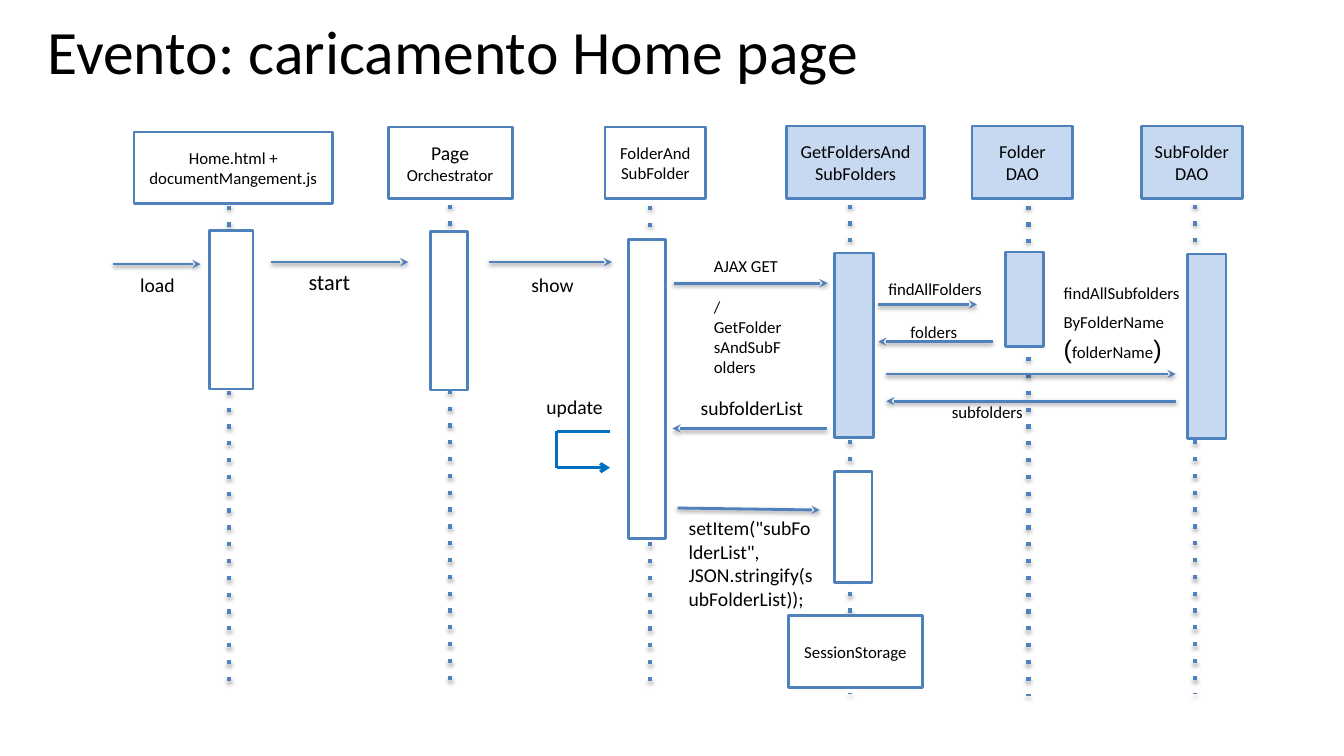
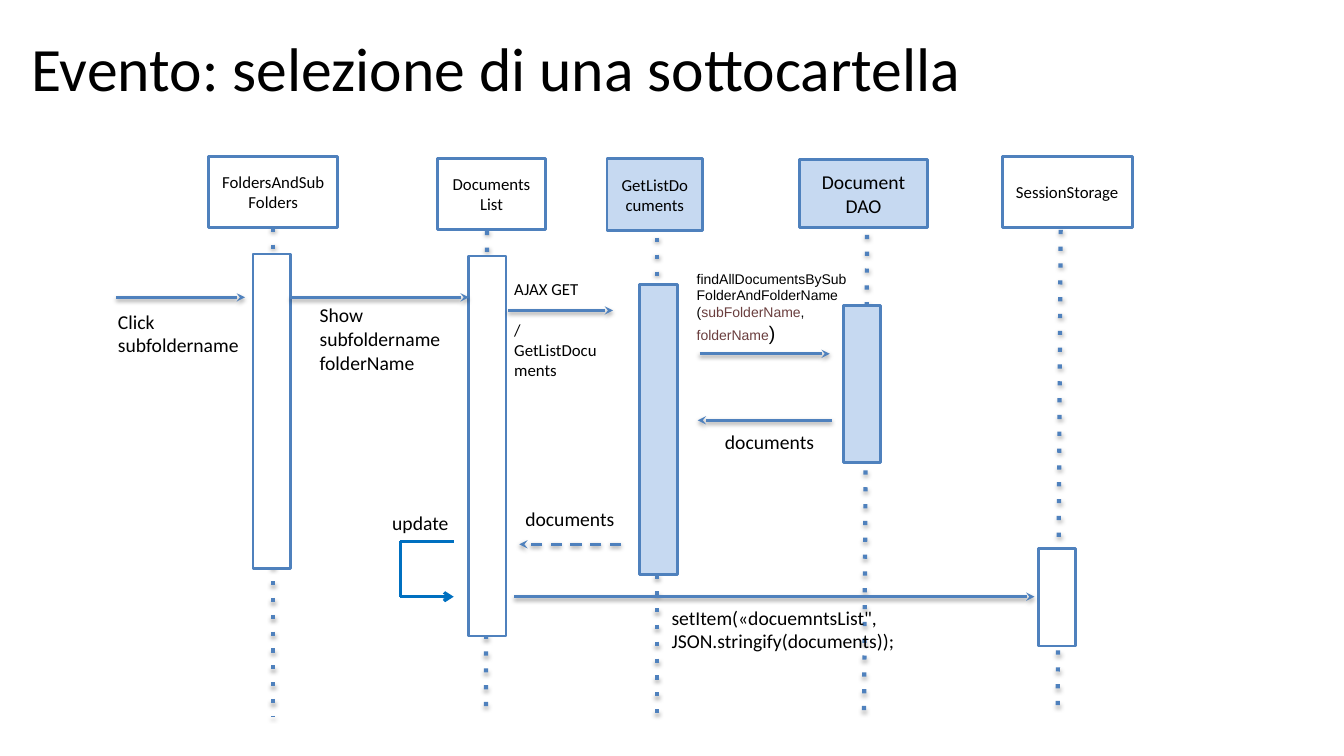
from dataclasses import dataclass
from typing import NamedTuple, Optional

from lxml.etree import SubElement
from pptx import Presentation
from pptx.dml.color import RGBColor
from pptx.enum.shapes import MSO_CONNECTOR, MSO_SHAPE
from pptx.enum.text import MSO_ANCHOR, PP_ALIGN
from pptx.oxml.ns import qn
from pptx.util import Inches, Pt

WHITE, BLACK = "FFFFFF", "000000"
CLIENT, SERVER = WHITE, "C6D9F1"
OUTLINE, LOOP, ARGUMENT = "4F81BD", "0070C0", "6A3E3E"
PAD_X, PAD_Y = 0.12, 0.06
LOOP_WIDTH = 0.53


class Box(NamedTuple):
    x: float
    y: float
    w: float
    h: float


class Segment(NamedTuple):
    x1: float
    y1: float
    x2: float
    y2: float


class Shadow(NamedTuple):
    opacity: int
    distance: float


class Run(NamedTuple):
    text: str
    size: float
    font: str = "Calibri"
    color: str = BLACK


Paragraphs = list[list[Run]]
LIFELINE_SHADOW, ARROW_SHADOW = Shadow(35, 1.8), Shadow(38, 1.6)


@dataclass
class Participant:
    name: str
    size: int
    fill: str
    head: Box
    bar: Box
    lifeline: Optional[Segment] = None
    joined: bool = False


@dataclass
class Arrow:
    route: Segment
    dash: str = ""


@dataclass
class Label:
    box: Box
    text: Paragraphs
    gap: float = 0


@dataclass
class Diagram:
    title: str
    title_box: Box
    participants: list[Participant]
    arrows: list[Arrow]
    labels: list[Label]
    loop: Box


def rgb(value: str) -> RGBColor:
    return RGBColor.from_string(value)


def plain(text: str, size: float) -> Paragraphs:
    """One single-run paragraph for each line of the text."""
    return [[Run(line, size)] for line in text.split("\n")]


def inches(values: tuple) -> list[int]:
    return [Inches(v) for v in values]


def write(s, text: Paragraphs, align=PP_ALIGN.LEFT, anchor=MSO_ANCHOR.TOP, gap: float = 0) -> None:
    tf = s.text_frame
    tf.word_wrap = True
    tf.vertical_anchor = anchor
    tf.margin_left = tf.margin_right = Inches(PAD_X)
    tf.margin_top = tf.margin_bottom = Inches(PAD_Y)
    for i, runs in enumerate(text):
        p = tf.add_paragraph() if i else tf.paragraphs[0]
        p.alignment = align
        if i and gap:
            p.space_before = Pt(gap)
        for run in runs:
            r = p.add_run()
            r.text = run.text
            r.font.size = Pt(run.size)
            r.font.name = run.font
            r.font.color.rgb = rgb(run.color)


def add_text(slide, box: Box, text: Paragraphs, anchor=MSO_ANCHOR.TOP, gap: float = 0) -> None:
    write(slide.shapes.add_textbox(*inches(box)), text, anchor=anchor, gap=gap)


def add_rect(slide, box: Box, fill: str):
    s = slide.shapes.add_shape(MSO_SHAPE.RECTANGLE, *inches(box))
    s.shadow.inherit = False
    s.fill.solid()
    s.fill.fore_color.rgb = rgb(fill)
    s.line.color.rgb = rgb(OUTLINE)
    s.line.width = Pt(2)
    return s


def add_line(slide, route: Segment, color: str = OUTLINE, width: float = 2, dash: str = "",
             tip: str = "", shadow: Optional[Shadow] = None):
    s = slide.shapes.add_connector(MSO_CONNECTOR.STRAIGHT, *inches(route))
    s.line.color.rgb = rgb(color)
    s.line.width = Pt(width)
    props = s._element.spPr
    ln = props.find(qn("a:ln"))
    if dash:
        SubElement(ln, qn("a:prstDash"), val=dash)
    if tip:
        SubElement(ln, qn("a:tailEnd"), type=tip)
    effects = SubElement(props, qn("a:effectLst"))
    if shadow:
        outer = SubElement(effects, qn("a:outerShdw"), blurRad=str(Pt(3.1)),
                           dist=str(Pt(shadow.distance)), dir="5400000", rotWithShape="0")
        tint = SubElement(outer, qn("a:srgbClr"), val=BLACK)
        SubElement(tint, qn("a:alpha"), val=str(shadow.opacity * 1000))
    return s


def add_participants(slide, participants: list[Participant]) -> None:
    """Lifelines lie behind every head and activation bar."""
    lifelines = [add_line(slide, p.lifeline, width=3, dash="dot", shadow=LIFELINE_SHADOW)
                 if p.lifeline else None for p in participants]
    for part, lifeline in zip(participants, lifelines):
        head = add_rect(slide, part.head, part.fill)
        write(head, plain(part.name, part.size), PP_ALIGN.CENTER, MSO_ANCHOR.MIDDLE)
        if lifeline is not None and part.joined:
            lifeline.begin_connect(head, 2)
        add_rect(slide, part.bar, part.fill)


def add_loop(slide, loop: Box) -> None:
    """A self-call: out to the left, down, and back with an arrowhead."""
    x, y, w, h = loop
    corners = [(x + w, y), (x, y), (x, y + h), (x + w, y + h)]
    for start, end, tip in zip(corners, corners[1:], ("", "", "arrow")):
        add_line(slide, Segment(*start, *end), LOOP, 2.25, tip=tip)


def add_diagram(prs, d: Diagram) -> None:
    slide = prs.slides.add_slide(prs.slide_layouts[6])
    add_text(slide, d.title_box, plain(d.title, 44), MSO_ANCHOR.MIDDLE)
    add_participants(slide, d.participants)
    for arrow in d.arrows:
        add_line(slide, arrow.route, dash=arrow.dash, tip="stealth", shadow=ARROW_SHADOW)
    add_loop(slide, d.loop)
    for label in d.labels:
        add_text(slide, label.box, label.text, gap=label.gap)


HOME_PAGE = Diagram(
    "Evento: caricamento Home page",
    Box(0.35, -0.13, 9.75, 1.25),
    [
        Participant("Home.html + documentMangement.js", 12, CLIENT, Box(1.33, 1.31, 1.97, 0.71),
                    Box(2.08, 2.29, 0.43, 1.57), Segment(2.27, 2.04, 2.27, 6.88)),
        Participant("", 12, CLIENT, Box(3.85, 1.26, 1.23, 0.71),
                    Box(4.27, 2.3, 0.37, 1.57), Segment(4.46, 2.03, 4.46, 6.87)),
        Participant("FolderAndSubFolder", 12, CLIENT, Box(6, 1.26, 1, 0.71),
                    Box(6.23, 2.38, 0.37, 2.96), Segment(6.45, 1.54, 6.45, 6.87)),
        Participant("GetFoldersAndSubFolders", 13, SERVER, Box(7.8, 1.25, 1.37, 0.72),
                    Box(8.28, 2.51, 0.38, 1.83), Segment(8.43, 2.03, 8.43, 6.88)),
        Participant("Folder\nDAO", 13, SERVER, Box(9.64, 1.25, 1, 0.72),
                    Box(9.97, 2.5, 0.38, 0.94), Segment(10.2, 2.04, 10.2, 6.9)),
        Participant("SubFolder\nDAO", 13, SERVER, Box(11.32, 1.25, 1, 0.72),
                    Box(11.78, 2.52, 0.38, 1.83), Segment(11.85, 2.03, 11.85, 6.88)),
        Participant("SessionStorage", 12, CLIENT, Box(7.82, 6.11, 1.33, 0.71),
                    Box(8.28, 4.68, 0.37, 1.1)),
    ],
    [
        Arrow(Segment(1.12, 2.62, 1.99, 2.62)),
        Arrow(Segment(2.69, 2.6, 4.05, 2.6)),
        Arrow(Segment(4.85, 2.6, 6.07, 2.6)),
        Arrow(Segment(6.68, 2.81, 8.21, 2.81)),
        Arrow(Segment(8.71, 3.02, 9.69, 3.02)),
        Arrow(Segment(9.85, 3.39, 8.71, 3.39)),
        Arrow(Segment(8.79, 3.71, 11.66, 3.71)),
        Arrow(Segment(11.66, 3.98, 8.79, 3.98)),
        Arrow(Segment(8.2, 4.25, 6.67, 4.25)),
        Arrow(Segment(6.72, 5.04, 8.13, 5.06)),
    ],
    [
        Label(Box(1.27, 2.65, 0.69, 0.49), plain("load", 14)),
        Label(Box(2.94, 2.6, 0.86, 0.49), plain("start", 16)),
        Label(Box(5.15, 2.65, 0.86, 0.49), plain("show", 14)),
        Label(Box(6.96, 2.48, 0.92, 1.05), plain("AJAX GET\n/GetFoldersAndSubFolders", 12), 14.6),
        Label(Box(8.69, 2.71, 1.3, 0.32), plain("findAllFolders", 12)),
        Label(Box(8.91, 3.13, 0.8, 0.32), plain("folders", 12)),
        Label(Box(10.43, 2.75, 1.44, 0.93), [[
            Run("findAllSubfoldersByFolderName", 12), Run(" (", 18, "Arial"),
            Run("folderName", 12), Run(")", 18, "Arial")]]),
        Label(Box(9.32, 3.93, 1.05, 0.32), plain("subfolders", 12)),
        Label(Box(6.83, 3.87, 1.33, 0.39), plain("subfolderList", 14)),
        Label(Box(5.3, 3.86, 0.84, 0.34), plain("update", 14)),
        Label(Box(6.71, 5.06, 1.48, 1.06),
              plain('setItem("subFolderList", JSON.stringify(subFolderList));', 14)),
    ],
    Box(5.52, 4.28, LOOP_WIDTH, 0.36),
)

SUBFOLDER = Diagram(
    "Evento: selezione di una sottocartella",
    Box(0.19, 0.04, 9.75, 1.25),
    [
        Participant("FoldersAndSubFolders", 12, CLIENT, Box(2.07, 1.55, 1.28, 0.71),
                    Box(2.51, 2.52, 0.37, 3.12), Segment(2.71, 2.26, 2.71, 7.11), joined=True),
        Participant("DocumentsList", 12, CLIENT, Box(4.34, 1.57, 1.07, 0.71),
                    Box(4.65, 2.54, 0.37, 3.77), Segment(4.83, 2.29, 4.82, 7.11)),
        Participant("GetListDocuments", 12, SERVER, Box(6.02, 1.57, 0.95, 0.72),
                    Box(6.34, 2.82, 0.38, 2.88), Segment(6.52, 2.36, 6.52, 7.11)),
        Participant("Document\nDAO", 14, SERVER, Box(7.93, 1.58, 1.27, 0.68),
                    Box(8.37, 3.03, 0.36, 1.56), Segment(8.6, 2.33, 8.57, 7.08)),
        Participant("SessionStorage", 12, CLIENT, Box(9.94, 1.55, 1.29, 0.71),
                    Box(10.3, 5.44, 0.37, 0.97), Segment(10.52, 2.28, 10.49, 7.03)),
    ],
    [
        Arrow(Segment(1.15, 2.95, 2.43, 2.95)),
        Arrow(Segment(2.88, 2.95, 4.65, 2.95)),
        Arrow(Segment(5.04, 3.08, 6.08, 3.08)),
        Arrow(Segment(6.94, 3.51, 8.23, 3.51)),
        Arrow(Segment(8.25, 4.17, 6.92, 4.17)),
        Arrow(Segment(6.16, 5.4, 5.15, 5.4), "dash"),
        Arrow(Segment(5.1, 5.92, 10.26, 5.92)),
    ],
    [
        Label(Box(1.05, 3.01, 1.66, 0.49), plain("Click subfoldername", 14)),
        Label(Box(3.05, 2.95, 1.57, 0.66), plain("Show subfoldername\nfolderName", 14)),
        Label(Box(4.98, 2.71, 1.18, 1.05), plain("AJAX GET\n/GetListDocuments", 12), 14.6),
        Label(Box(6.79, 2.62, 1.75, 0.77), [[
            Run("findAllDocumentsBySubFolderAndFolderName (", 10, "Arial"),
            Run("subFolderName", 10, "Arial", ARGUMENT), Run(", ", 10, "Arial"),
            Run("folderName", 10, "Arial", ARGUMENT), Run(")", 14, "Arial")]]),
        Label(Box(7.07, 4.21, 1.22, 0.34), plain("documents", 14)),
        Label(Box(5.09, 4.97, 1.36, 0.34), plain("documents", 14)),
        Label(Box(3.77, 5.01, 0.84, 0.34), plain("update", 14)),
        Label(Box(6.54, 5.95, 2.68, 0.59),
              plain('setItem(«docuemntsList", JSON.stringify(documents));', 14)),
    ],
    Box(3.97, 5.37, LOOP_WIDTH, 0.55),
)


def main() -> None:
    prs = Presentation()
    prs.slide_width, prs.slide_height = Inches(13.33), Inches(7.5)
    orchestrator = HOME_PAGE.participants[1]
    add_diagram(prs, HOME_PAGE)
    head = next(s for s in prs.slides[0].shapes if s.left == Inches(orchestrator.head.x))
    head.text_frame.clear()
    write(head, [[Run("Page", 14)], [Run("Orchestrator", 12)]], PP_ALIGN.CENTER, MSO_ANCHOR.MIDDLE)
    add_diagram(prs, SUBFOLDER)
    prs.save("out.pptx")


if __name__ == "__main__":
    main()
